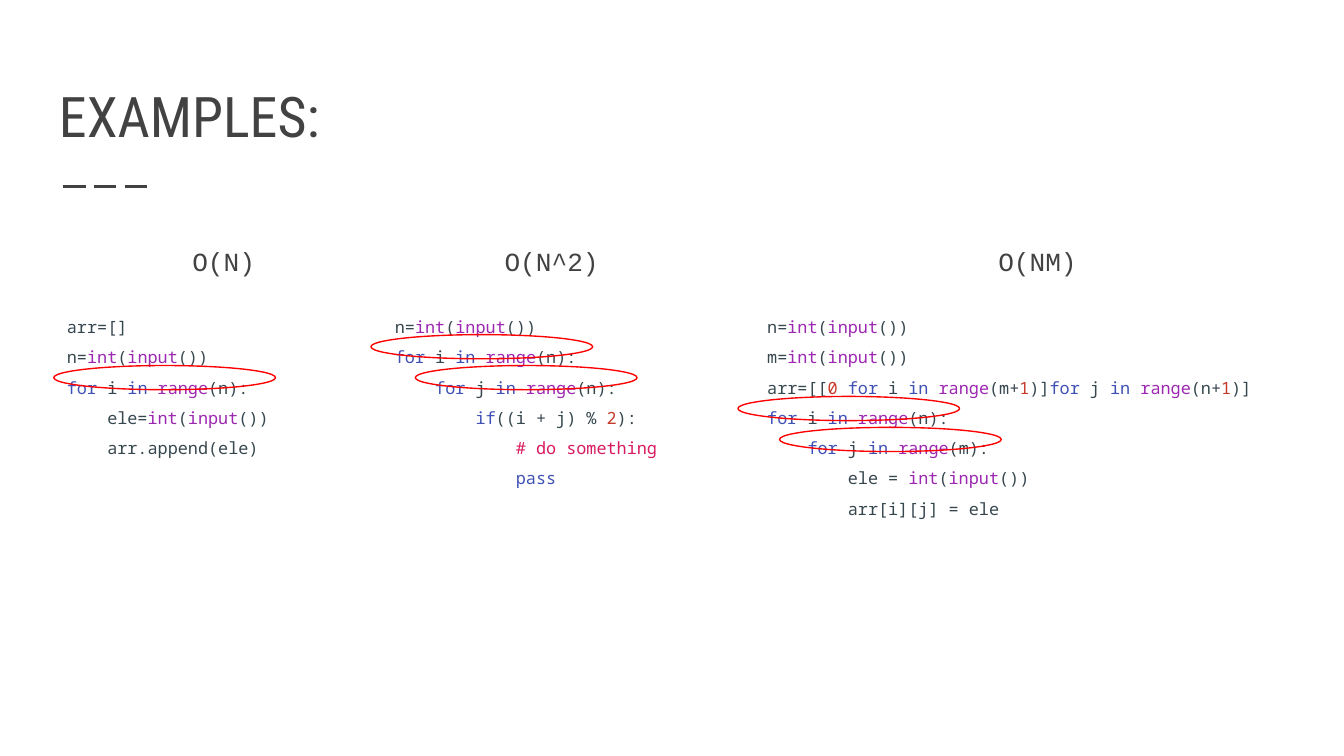
from itertools import groupby

from pptx import Presentation
from pptx import util as u
from pptx.dml.color import RGBColor
from pptx.enum import dml, shapes, text
from pptx.oxml.ns import qn
from lxml import etree

SLIDE_WIDTH = 10
SLIDE_HEIGHT = SLIDE_WIDTH * 9 / 16
INK, CODE, KEYWORD, BUILTIN = "424242", "37474F", "3F51B5", "9C27B0"
NUMBER, REMARK, RED = "C53929", "D81B60", "FF0000"
TOKEN_COLORS = {
    **dict.fromkeys(["for", "in", "if", "pass"], KEYWORD),
    **dict.fromkeys(["int", "input", "range"], BUILTIN),
}
INDENT_STEP = 0.3  # four monospaced characters at 9 pt

# left, width, heading, code lines
COLUMNS = [
    (2.84, 2.53, "O(N^2)", [
        "n=int(input())",
        "for i in range(n):",
        "    for j in range(n):",
        "        if((i + j) % 2):",
        "            # do something",
        "            pass",
    ]),
    (0.4, 2.53, "O(N)", [
        "arr=[]",
        "n=int(input())",
        "for i in range(n):",
        "    ele=int(input())",
        "    arr.append(ele)",
    ]),
    (5.61, 4.22, "O(NM)", [
        "n=int(input())",
        "m=int(input())",
        "arr=[[0 for i in range(m+1)]for j in range(n+1)]",
        "for i in range(n):",
        "    for j in range(m):",
        "        ele = int(input())",
        "        arr[i][j] = ele",
    ]),
]
LOOP_MARKS = [(0.4, 2.72), (2.76, 2.49), (3.09, 2.72), (5.49, 2.95), (5.8, 3.18)]


def color(value):
    """Turn a hex string into a colour."""
    return RGBColor.from_string(value)


def set_font(font, name, size, ink):
    """Set typeface, point size and colour."""
    font.name, font.size = name, u.Pt(size)
    font.color.rgb = color(ink)


def add_box(page, left, top, width, height):
    """Add a wrapping text box with equal insets and return its frame."""
    box = page.shapes.add_textbox(*map(u.Inches, (left, top, width, height)))
    frame = box.text_frame
    frame.word_wrap = True
    frame.margin_left = frame.margin_right = u.Inches(0.1)
    frame.margin_top = frame.margin_bottom = u.Inches(0.1)
    return frame


def add_title(page, title):
    """Add the slide title."""
    frame = add_box(page, 0.34, 0.41, 9.32, 0.8)
    frame.vertical_anchor = text.MSO_ANCHOR.BOTTOM
    para = frame.paragraphs[0]
    para.text = title
    set_font(para.font, "Roboto Condensed", 30, INK)


def add_dashes(page):
    """Add the dashed rule under the title."""
    ends = map(u.Inches, (0.47, 1.39, 1.14, 1.39))
    rule = page.shapes.add_connector(shapes.MSO_CONNECTOR.STRAIGHT, *ends)
    rule.line.color.rgb = color(INK)
    rule.line.width = u.Pt(1.5)
    rule.line.dash_style = dml.MSO_LINE.LONG_DASH
    etree.SubElement(rule._element.spPr, qn("a:effectLst"))


def split_tokens(code):
    """Yield each piece of a code line with its colour."""
    if code.startswith("#"):
        yield code, REMARK
        return
    for _, letters in groupby(code, str.isalnum):
        token = "".join(letters)
        yield token, NUMBER if token.isdigit() else TOKEN_COLORS.get(token, CODE)


def add_code_line(frame, line):
    """Add one indented, coloured line of code and return its paragraph."""
    code = line.lstrip()
    depth = (len(line) - len(code)) // 4
    para = frame.add_paragraph()
    para.line_spacing = 1.5
    set_font(para.font, "Noto Sans Mono", 9, CODE)
    if depth:
        para._p.get_or_add_pPr().set("marL", str(u.Inches(depth * INDENT_STEP)))
    for token, ink in split_tokens(code):
        span = para.add_run()
        span.text = token
        set_font(span.font, "Noto Sans Mono", 9, ink)
    return para


def add_column(page, left, width, heading, lines):
    """Add a centred heading with its code below."""
    frame = add_box(page, left, 1.69, width, 3.39)
    para = frame.paragraphs[0]
    para.text = heading
    para.alignment = text.PP_ALIGN.CENTER
    para.line_spacing = 1.15
    set_font(para.font, "Courier New", 14, INK)
    code_paras = [add_code_line(frame, line) for line in lines]
    code_paras[0].space_before = u.Pt(16)


def add_loop_mark(page, left, top):
    """Circle a loop with a thin red ellipse."""
    place = map(u.Inches, (left, top, 1.65, 0.18))
    mark = page.shapes.add_shape(shapes.MSO_SHAPE.OVAL, *place)
    mark.shadow.inherit = False
    mark.fill.background()
    mark.line.color.rgb = color(RED)
    mark.line.width = u.Pt(0.75)


def main():
    """Build the slide and save it."""
    deck = Presentation()
    deck.slide_width = u.Inches(SLIDE_WIDTH)
    deck.slide_height = u.Inches(SLIDE_HEIGHT)
    page = deck.slides.add_slide(deck.slide_layouts[6])
    add_dashes(page)
    add_title(page, "EXAMPLES:")
    for column in COLUMNS:
        add_column(page, *column)
    for spot in LOOP_MARKS:
        add_loop_mark(page, *spot)
    deck.save("out.pptx")


main()
